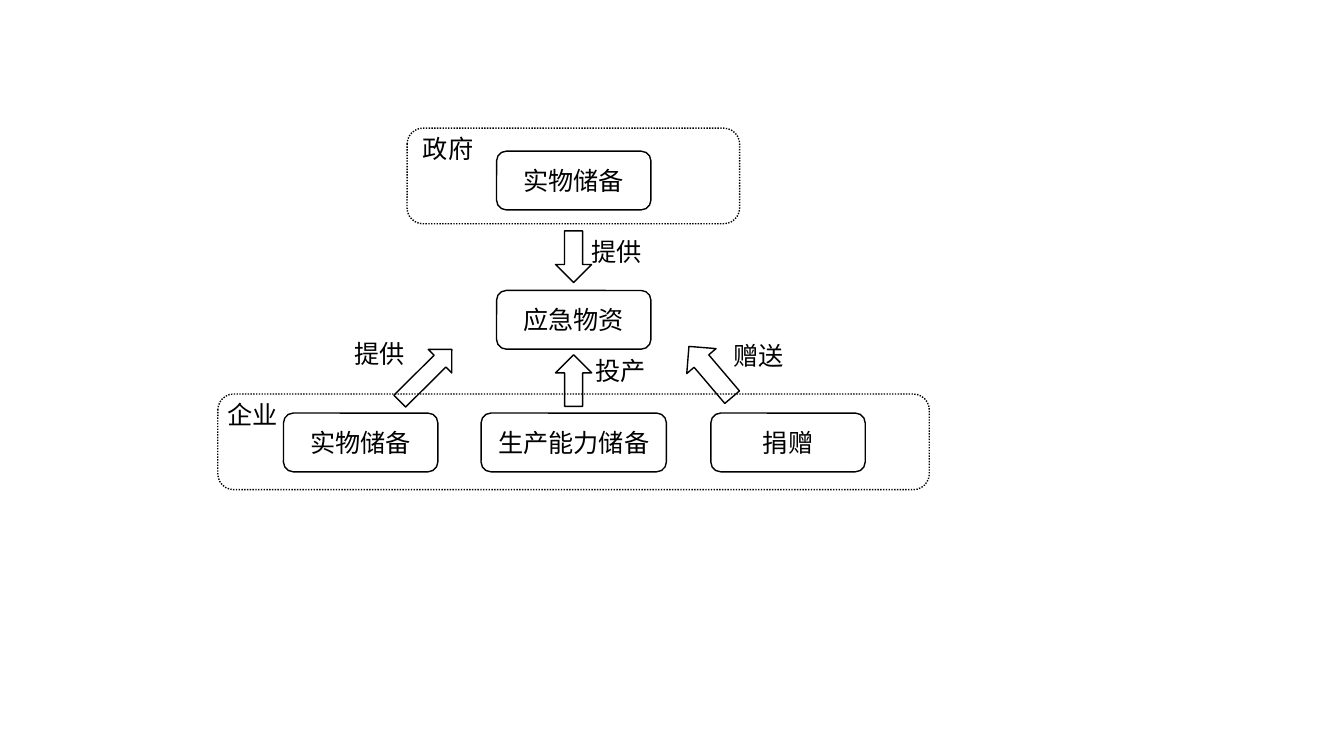
import pptx
import pptx.dml.color
import pptx.enum.dml
import pptx.enum.shapes
import pptx.enum.text
import pptx.util
from lxml import etree
from pptx.oxml.ns import qn

Cm = pptx.util.Cm
SHAPE = pptx.enum.shapes.MSO_SHAPE
BLACK = pptx.dml.color.RGBColor(0x00, 0x00, 0x00)
WHITE = pptx.dml.color.RGBColor(0xFF, 0xFF, 0xFF)
LATIN_FONT = "Times New Roman"
CJK_FONT = "Noto Sans CJK SC"

BOX_W, BOX_H = 3.89, 1.48
CENTER_X = 14.46  # axis of the middle column


class Diagram:
    """Holds the style and the current slide."""

    def __init__(self, slide):
        self.s = slide
        self.size = pptx.util.Pt(18)
        self.line_width = pptx.util.Pt(1)

    def outline(self, kind, x, y, w, h):
        sp = self.s.shapes.add_shape(kind, Cm(x), Cm(y), Cm(w), Cm(h))
        sp.shadow.inherit = False
        sp.fill.background()
        sp.line.color.rgb = BLACK
        sp.line.width = self.line_width
        return sp

    def set_text(self, tf, text, font):
        p = tf.paragraphs[0]
        r = p.add_run()
        r.text = text
        p.font.size = self.size
        p.font.name = font
        p.font.color.rgb = BLACK
        # East Asian typeface has no public setter
        etree.SubElement(r.font._element, qn("a:ea"), typeface=CJK_FONT)
        return p

    def box(self, text, center_x, y, w=BOX_W):
        sp = self.outline(SHAPE.ROUNDED_RECTANGLE, center_x - w / 2, y, w, BOX_H)
        sp.fill.solid()
        sp.fill.fore_color.rgb = WHITE
        tf = sp.text_frame
        tf.vertical_anchor = pptx.enum.text.MSO_ANCHOR.MIDDLE
        p = self.set_text(tf, text, LATIN_FONT)
        p.alignment = pptx.enum.text.PP_ALIGN.CENTER

    def frame(self, x, y, w):
        sp = self.outline(SHAPE.ROUNDED_RECTANGLE, x, y, w, 2.41)
        sp.line.dash_style = pptx.enum.dml.MSO_LINE.ROUND_DOT

    def arrow(self, x, y, w, h, rotation=0):
        self.outline(SHAPE.DOWN_ARROW, x, y, w, h).rotation = rotation

    def label(self, text, x, y):
        tf = self.s.shapes.add_textbox(Cm(x), Cm(y), Cm(3.43), Cm(1.02)).text_frame
        tf.word_wrap = True
        self.set_text(tf, text, CJK_FONT)


def main():
    prs = pptx.Presentation()
    prs.slide_width, prs.slide_height = Cm(33.87), Cm(19.05)
    d = Diagram(prs.slides.add_slide(prs.slide_layouts[6]))

    # Supplies and their sources
    d.box("应急物资", CENTER_X, 7.32)
    d.box("实物储备", CENTER_X, 3.81)
    company_y = 10.41
    d.box("实物储备", 9.09, company_y)
    d.box("生产能力储备", CENTER_X, company_y, w=4.67)
    d.box("捐赠", 19.86, company_y)

    # Government and company groups
    d.frame(10.26, 3.23, 8.38)
    d.frame(5.49, 9.93, 17.93)
    d.label("政府", 10.41, 3.23)
    d.label("企业", 5.49, 9.93)

    # Flows into the supplies
    d.arrow(17.42, 8.53, 0.97, 1.68, 139.6)
    d.arrow(10.31, 8.53, 0.84, 1.85, 225.2)
    d.arrow(14.0, 8.94, 0.91, 1.3, 180)
    d.arrow(14.0, 5.82, 0.91, 1.3)
    for text, x, y in [
        ("提供", 14.66, 5.82),
        ("提供", 8.69, 8.41),
        ("投产", 14.76, 8.84),
        ("赠送", 18.24, 8.46),
    ]:
        d.label(text, x, y)

    prs.save("out.pptx")


if __name__ == "__main__":
    main()
